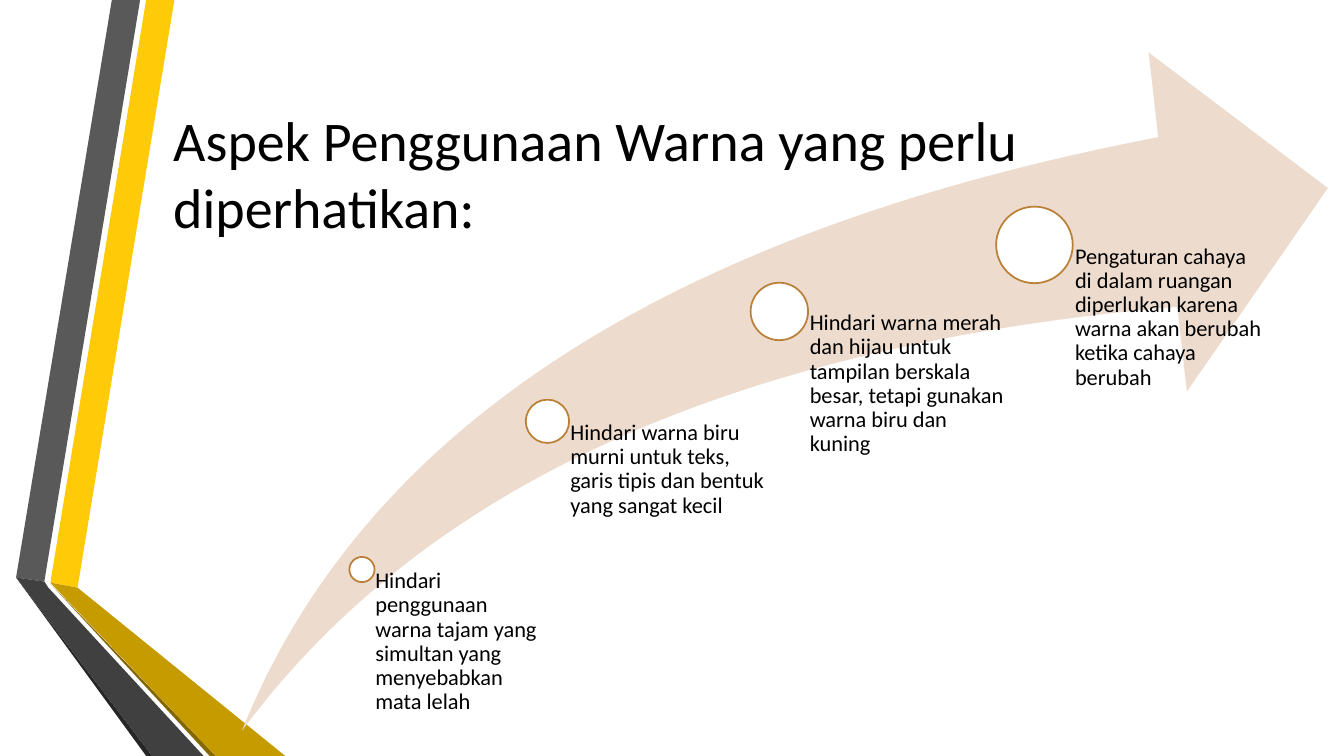
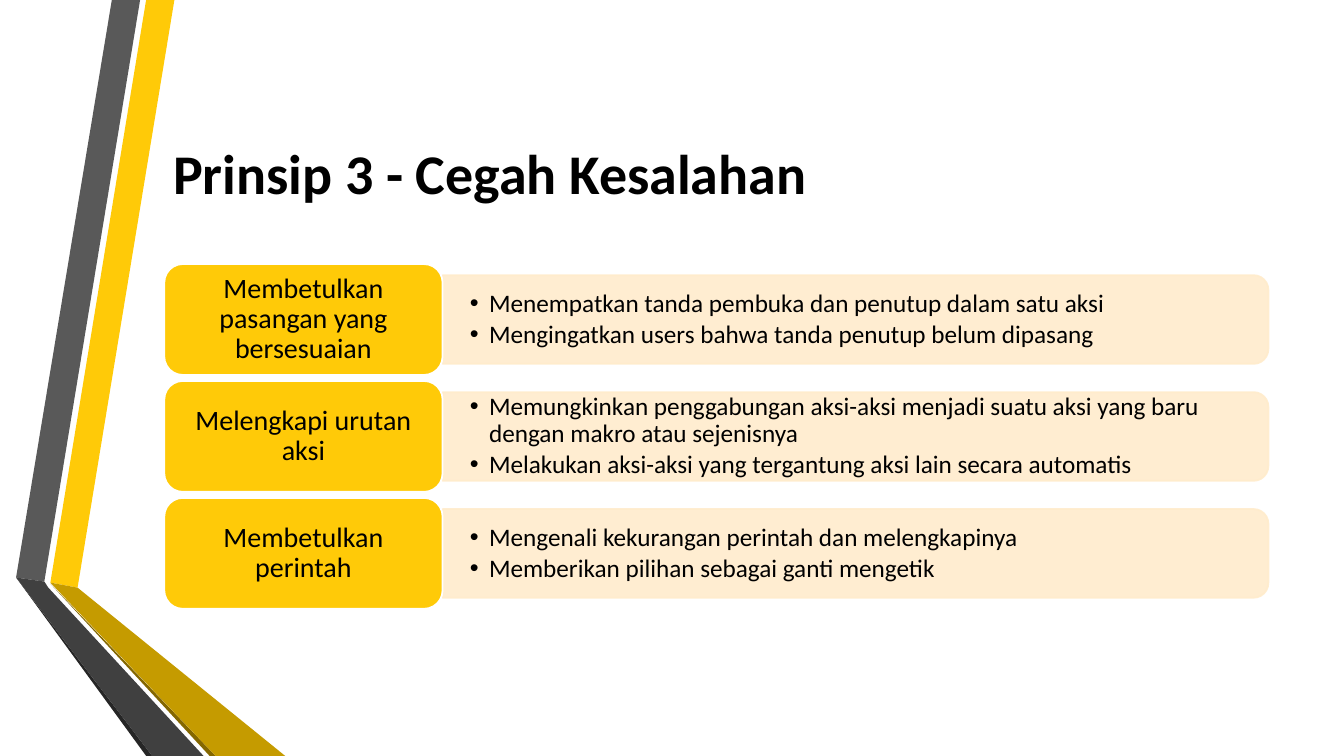
from lxml.etree import SubElement
from pptx import Presentation
from pptx.dml.color import RGBColor
from pptx.enum.shapes import MSO_SHAPE as SHAPE
from pptx.enum.text import MSO_ANCHOR as ANCHOR, PP_ALIGN as ALIGN
from pptx.oxml.ns import qn
from pptx.util import Inches, Pt

GOLD, BLACK, WHITE = "FFCA08", "000000", "FFFFFF"
BRONZE, SAND, CREAM = "BB8038", "EDDBCE", "FFECCC"

RIBBONS = [
    (GOLD, [(0.5, 5.78), (0.77, 5.83), (1.73, 0), (1.45, 0)]),
    ("595959", [(1.39, 0), (1.11, 0), (0.16, 5.73), (0.44, 5.77)]),
    ("262626", [(0.16, 5.73), (1.45, 7.5), (1.51, 7.5)]),
    ("846700", [(0.5, 5.79), (2.08, 7.5), (2.14, 7.5)]),
    ("C59B00", [(0.5, 5.78), (2.14, 7.5), (2.83, 7.5), (0.77, 5.83)]),
    ("404040", [(2.02, 7.5), (0.48, 5.83), (0.44, 5.77), (0.16, 5.73), (1.51, 7.5)]),
]

MILESTONES = [
    (3.59, 5.65, 0.25, 1.84, "Hindari penggunaan warna tajam yang simultan yang menyebabkan mata lelah"),
    (5.43, 4.18, 0.43, 2.26, "Hindari warna biru murni untuk teks, garis tipis dan bentuk yang sangat kecil"),
    (7.73, 3.09, 0.57, 2.26, "Hindari warna merah dan hijau untuk tampilan berskala besar, "
                             "tetapi gunakan warna biru dan kuning"),
    (10.26, 2.43, 0.76, 2.26, "Pengaturan cahaya di dalam ruangan diperlukan karena warna akan "
                              "berubah ketika cahaya berubah"),
]

PRINCIPLES = [
    ("Membetulkan pasangan yang bersesuaian",
     ["Menempatkan tanda pembuka dan penutup dalam satu aksi",
      "Mengingatkan users bahwa tanda penutup belum dipasang"]),
    ("Melengkapi urutan aksi",
     ["Memungkinkan penggabungan aksi-aksi menjadi suatu aksi yang baru dengan makro atau sejenisnya",
      "Melakukan aksi-aksi yang tergantung aksi lain secara automatis"]),
    ("Membetulkan perintah",
     ["Mengenali kekurangan perintah dan melengkapinya",
      "Memberikan pilihan sebagai ganti mengetik"]),
]


def rgb(value):
    return RGBColor.from_string(value)


def set_text(sp, *texts, size, bold=False, align=ALIGN.LEFT, anchor=ANCHOR.TOP,
             insets=(0, 0, 0, 0), spacing=0.9, after=0, bullet=None, indent=0.19):
    tf = sp.text_frame
    tf.word_wrap = True
    tf.vertical_anchor = anchor
    tf.margin_left, tf.margin_top, tf.margin_right, tf.margin_bottom = map(Inches, insets)
    for i, text in enumerate(texts):
        p = tf.add_paragraph() if i else tf.paragraphs[0]
        p.alignment, p.line_spacing, p.space_after = align, spacing, Pt(after)
        if bullet:
            p_pr = p._p.get_or_add_pPr()
            p_pr.set("marL", str(Inches(indent)))
            p_pr.set("indent", str(-Inches(indent)))
            SubElement(p_pr, qn("a:buFont")).set("typeface", "Arial")
            SubElement(p_pr, qn("a:buChar")).set("char", bullet)
        r = p.add_run()
        r.text = text
        r.font.name, r.font.size, r.font.bold = "Calibri", Pt(size), bold
        r.font.color.rgb = rgb(BLACK)


class Deck:
    def __init__(self):
        self.prs = Presentation()
        self.prs.slide_width, self.prs.slide_height = Inches(13.33), Inches(7.5)

    def add_slide(self, title, bold=False):
        self.shapes = self.prs.slides.add_slide(self.prs.slide_layouts[6]).shapes
        for color, points in RIBBONS:
            self.polygon(points, color)
        self.text(1.62, 0.75, 10.96, 1.92, title, size=40, bold=bold,
                  anchor=ANCHOR.MIDDLE, insets=(0.1, 0.05, 0.1, 0.05), spacing=1.0)

    def paint(self, sp, fill, line=None, alpha=None):
        sp.shadow.inherit = False
        sp.fill.solid()
        sp.fill.fore_color.rgb = rgb(fill)
        if line:
            sp.line.color.rgb = rgb(line)
            sp.line.width = Pt(1.25)
        else:
            sp.line.fill.background()
        if alpha:
            for color in sp._element.spPr.iter(qn("a:srgbClr")):
                SubElement(color, qn("a:alpha")).set("val", str(alpha * 1000))
        return sp

    def polygon(self, points, fill):
        start, *rest = [(Inches(x), Inches(y)) for x, y in points]
        builder = self.shapes.build_freeform(*start, scale=1.0)
        builder.add_line_segments(rest, close=True)
        return self.paint(builder.convert_to_shape(), fill)

    def shape(self, kind, x, y, w, h, fill, line=None, alpha=None):
        sp = self.shapes.add_shape(kind, Inches(x), Inches(y), Inches(w), Inches(h))
        return self.paint(sp, fill, line, alpha)

    def text(self, x, y, w, h, *texts, **style):
        sp = self.shapes.add_textbox(Inches(x), Inches(y), Inches(w), Inches(h))
        set_text(sp, *texts, **style)

    def milestone(self, cx, cy, size, width, text, bottom=7.25):
        self.shape(SHAPE.OVAL, cx - size / 2, cy - size / 2, size, size, WHITE, BRONZE)
        self.text(cx, cy, width, bottom - cy, text, size=16, insets=(0.53 * size, 0, 0, 0))

    def principle(self, y, label, points):
        x, label_w, label_h, band_w, band_h = 1.63, 2.76, 1.1, 8.19, 0.88
        band_x, cy = x + label_w, y + label_h / 2
        band = self.shape(SHAPE.ROUND_2_SAME_RECTANGLE, band_x + (band_w - band_h) / 2,
                          cy - band_w / 2, band_h, band_w, CREAM, CREAM, alpha=90)
        band.rotation = 90
        self.text(band_x, cy - band_h / 2, band_w - 0.04, band_h, *points, size=18,
                  anchor=ANCHOR.MIDDLE, insets=(0.27, 0, 0.27, 0), after=2.7, bullet="•")
        box = self.shape(SHAPE.ROUNDED_RECTANGLE, x, y, label_w, label_h, GOLD, WHITE)
        set_text(box, label, size=20, align=ALIGN.CENTER, anchor=ANCHOR.MIDDLE,
                 insets=(0.13, 0.09, 0.13, 0.09))


def main():
    deck = Deck()

    deck.add_slide("Aspek Penggunaan Warna yang perlu diperhatikan:")
    swoosh = deck.shape(SHAPE.SWOOSH_ARROW, 2.4, 0.52, 10.77, 6.73, SAND)
    swoosh.adjustments[0] = swoosh.adjustments[1] = 0.25
    for milestone in MILESTONES:
        deck.milestone(*milestone)

    deck.add_slide("Prinsip 3 - Cegah Kesalahan", bold=True)
    for i, (label, points) in enumerate(PRINCIPLES):
        deck.principle(2.62 + 1.16 * i, label, points)

    deck.prs.save("out.pptx")


if __name__ == "__main__":
    main()
